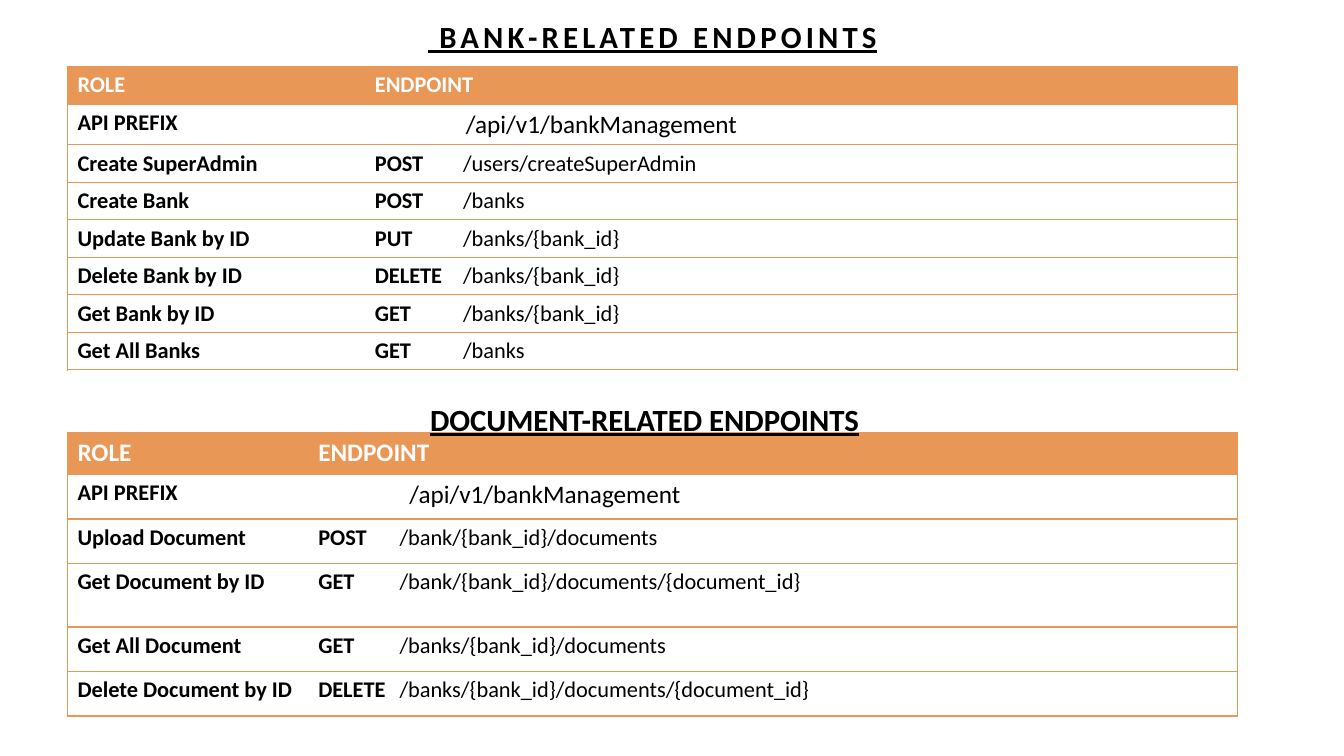
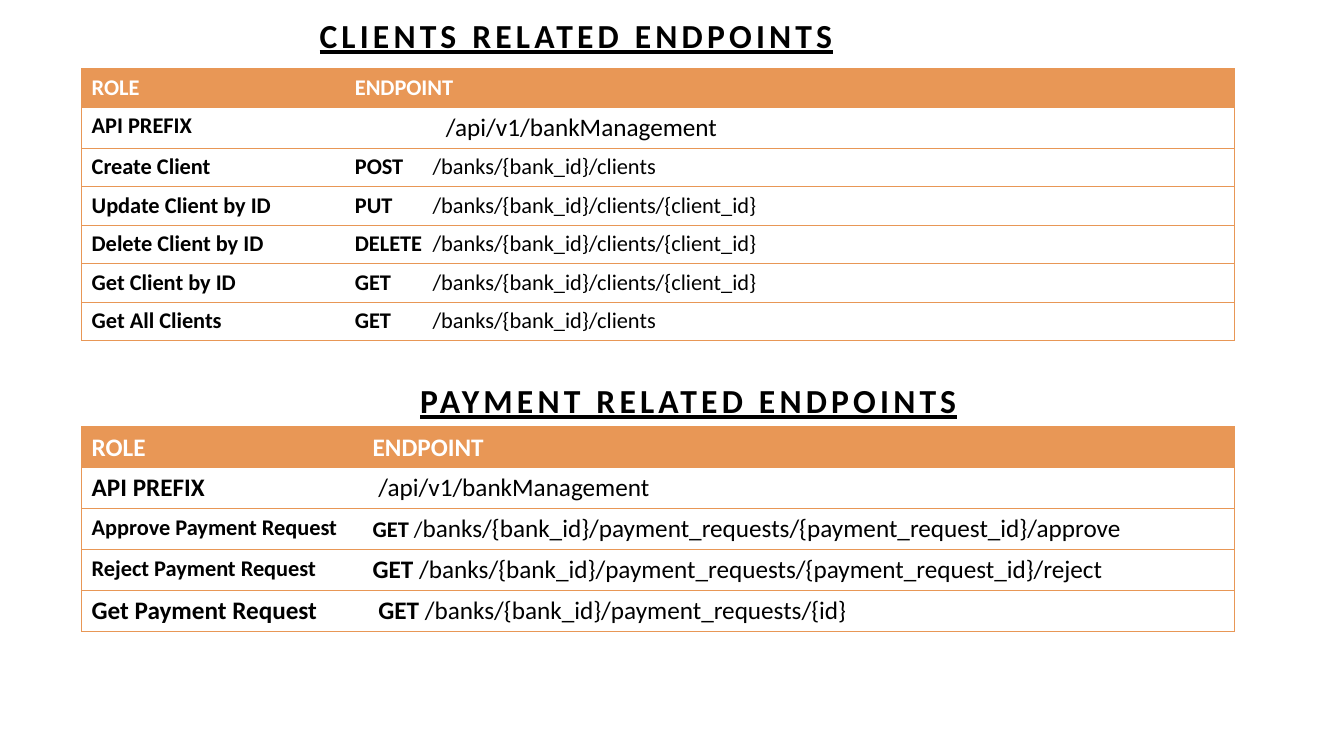
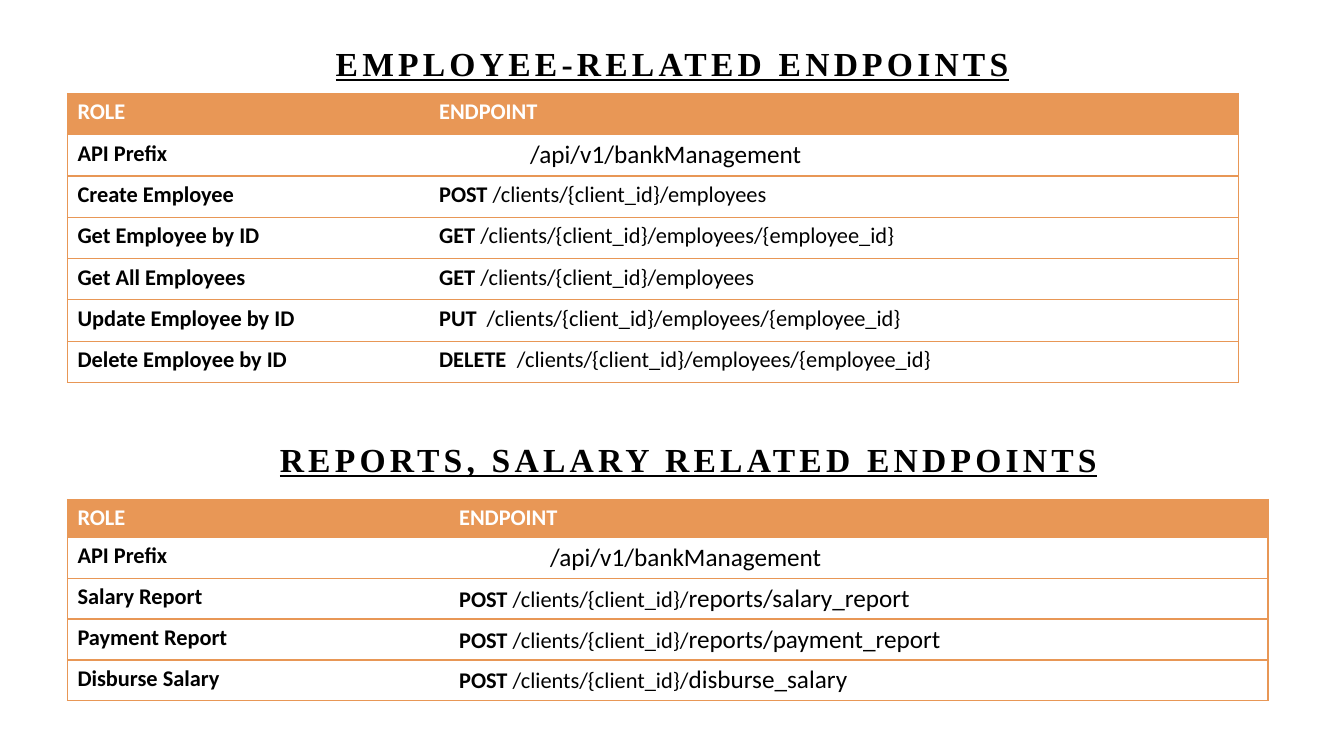
from dataclasses import dataclass, field

from lxml import etree
from pptx import Presentation
from pptx.dml.color import RGBColor
from pptx.enum import text as t
from pptx.oxml.ns import qn
from pptx.util import Pt


@dataclass(frozen=True)
class Theme:
    accent: str = "E89756"
    ink: str = "000000"
    paper: str = "FFFFFF"
    sans: str = "Calibri"
    serif: str = "Times New Roman"
    body: int = 16
    large: int = 18
    heading_small: int = 22
    heading: int = 24
    line: float = 1
    plain_table: str = "{2D5ABB26-0587-4C30-8999-92F81FD0307C}"


THEME = Theme()
PREFIX_TAB = 65


@dataclass
class Endpoint:
    role: str
    method: str
    route: str
    tail: str = ""            # end of the route, in the large size
    tab: float = 0            # where the route starts; 0 means one space
    role_size: int = THEME.body
    method_size: int = THEME.body
    route_size: int = THEME.body


@dataclass
class Heading:
    text: str
    box: tuple
    size: int = THEME.heading
    font: str = THEME.sans
    spacing: float = 3


@dataclass
class EndpointTable:
    origin: tuple
    columns: tuple
    row_height: float
    endpoints: list
    header_size: int = THEME.body
    heights: dict = field(default_factory=dict)   # rows unlike the others


def prefix(role="API PREFIX", tab=PREFIX_TAB, role_size=THEME.body):
    return Endpoint(role, "", "/api/v1/bankManagement", tab=tab,
                    role_size=role_size, route_size=THEME.large)


def tabbed(tab, *rows):
    return [Endpoint(*row, tab=tab) for row in rows]


def add_run(paragraph, words, size, color=THEME.ink, font=THEME.sans, **style):
    run = paragraph.add_run()
    run.text = words
    for name, value in {"name": font, "size": Pt(size), **style}.items():
        setattr(run.font, name, value)
    run.font.color.rgb = RGBColor.from_string(color)
    return run


def place_heading(shape, heading):
    left, top, width, height = heading.box
    for name, value in dict(left=left, top=top, width=width, height=height).items():
        setattr(shape, name, Pt(value))
    frame = shape.text_frame
    for name, value in {"word_wrap": True, "auto_size": t.MSO_AUTO_SIZE.NONE,
                        "vertical_anchor": t.MSO_ANCHOR.MIDDLE}.items():
        setattr(frame, name, value)
    paragraph = frame.paragraphs[0]
    paragraph.alignment = t.PP_ALIGN.CENTER
    paragraph.line_spacing = 0.9
    run = add_run(paragraph, heading.text, heading.size, font=heading.font,
                  bold=True, underline=True)
    if heading.spacing:
        run.font._element.set("spc", str(int(heading.spacing * 100)))


def set_tab(paragraph, position):
    stops = etree.SubElement(paragraph._p.get_or_add_pPr(), qn("a:tabLst"))
    etree.SubElement(stops, qn("a:tab"), pos=str(int(Pt(position))), algn="l")


def paint_cell(cell, fill, sides):
    """Draw the given sides (L, R, T, B order) and fill the cell."""
    properties = cell._tc.get_or_add_tcPr()
    for side in sides:
        line = etree.SubElement(properties, qn(f"a:ln{side}"), w=str(int(Pt(THEME.line))))
        solid = etree.SubElement(line, qn("a:solidFill"))
        etree.SubElement(solid, qn("a:srgbClr"), val=THEME.accent)
    cell.fill.solid()
    cell.fill.fore_color.rgb = RGBColor.from_string(fill)


def write_endpoint(role_cell, route_cell, endpoint):
    add_run(role_cell.text_frame.paragraphs[0], endpoint.role,
            endpoint.role_size, bold=True)
    paragraph = route_cell.text_frame.paragraphs[0]
    if endpoint.tab:
        set_tab(paragraph, endpoint.tab)
    if endpoint.method:
        add_run(paragraph, endpoint.method, endpoint.method_size, bold=True)
    gap = "\t" if endpoint.tab else " "
    add_run(paragraph, gap + endpoint.route, endpoint.route_size, bold=False)
    if endpoint.tail:
        add_run(paragraph, endpoint.tail, THEME.large, bold=False)


def place_table(slide, spec_table):
    count = len(spec_table.endpoints) + 1
    heights = [spec_table.heights.get(i, spec_table.row_height) for i in range(count)]
    frame = slide.shapes.add_table(count, 2, *map(Pt, spec_table.origin),
                                   Pt(sum(spec_table.columns)), Pt(sum(heights)))
    table = frame.table
    table._tbl.tblPr.find(qn("a:tableStyleId")).text = THEME.plain_table
    for column, width in zip(table.columns, spec_table.columns):
        column.width = Pt(width)
    for row, height in zip(table.rows, heights):
        row.height = Pt(height)

    # Header row
    for column, label in enumerate(("ROLE", "ENDPOINT")):
        add_run(table.cell(0, column).text_frame.paragraphs[0], label,
                spec_table.header_size, THEME.paper, bold=True)
    # Endpoint rows
    for row, endpoint in enumerate(spec_table.endpoints, 1):
        write_endpoint(table.cell(row, 0), table.cell(row, 1), endpoint)
    # Outer frame and row rules
    for row in range(count):
        for column, outer in enumerate("LR"):
            paint_cell(table.cell(row, column),
                       THEME.paper if row else THEME.accent, outer + "TB")


def build_slide(deck, sections):
    """Stack tables with their headings; the first heading is the slide title."""
    slide = deck.slides.add_slide(deck.slide_layouts[5])
    for number, (heading, table) in enumerate(sections):
        place_table(slide, table)
        shape = (slide.shapes.add_textbox(*map(Pt, heading.box)) if number
                 else slide.shapes.title)
        place_heading(shape, heading)


BANKS = EndpointTable((48.2, 47.5), (212.4, 623.5), 26.5, [prefix(), *tabbed(
    63,
    ("Create SuperAdmin", "POST", "/users/createSuperAdmin"),
    ("Create Bank", "POST", "/banks"),
    ("Update Bank by ID", "PUT", "/banks/{bank_id}"),
    ("Delete Bank by ID", "DELETE", "/banks/{bank_id}"),
    ("Get Bank by ID", "GET", "/banks/{bank_id}"),
    ("Get All Banks", "GET", "/banks"),
)])

DOCUMENTS = EndpointTable((48.2, 308.9), (172, 663.9), 31.8, [prefix(), *tabbed(
    58,
    ("Upload Document", "POST", "/bank/{bank_id}/documents"),
    ("Get Document by ID", "GET", "/bank/{bank_id}/documents/{document_id}"),
    ("Get All Document", "GET", "/banks/{bank_id}/documents"),
    ("Delete Document by ID", "DELETE", "/banks/{bank_id}/documents/{document_id}"),
)], header_size=THEME.large, heights={0: 30, 3: 45.4})

CLIENTS = EndpointTable((58.3, 49), (188, 635.3), 27.5, [prefix(), *tabbed(
    55.5,
    ("Create Client", "POST", "/banks/{bank_id}/clients"),
    ("Update Client by ID", "PUT", "/banks/{bank_id}/clients/{client_id}"),
    ("Delete Client by ID", "DELETE", "/banks/{bank_id}/clients/{client_id}"),
    ("Get Client by ID", "GET", "/banks/{bank_id}/clients/{client_id}"),
    ("Get All Clients", "GET", "/banks/{bank_id}/clients"),
)], heights={1: 29.5})

PAYMENTS = EndpointTable((58.3, 305), (200.7, 622.7), 29, [
    prefix(tab=0, role_size=THEME.large),
    Endpoint("Approve Payment Request", "GET", "/",
             "banks/{bank_id}/payment_requests/{payment_request_id}/approve"),
    Endpoint("Reject Payment Request", "GET",
             "/banks/{bank_id}/payment_requests/{payment_request_id}/reject",
             method_size=THEME.large, route_size=THEME.large),
    Endpoint("Get Payment Request", " GET", "/banks/{bank_id}/payment_requests/{id}",
             role_size=THEME.large, method_size=THEME.large, route_size=THEME.large),
], header_size=THEME.large)

EMPLOYEES = EndpointTable((48.2, 66.8), (258.3, 578.2), 29.5, [
    prefix("API Prefix"),
    Endpoint("Create Employee", "POST", "/clients/{client_id}/employees"),
    Endpoint("Get Employee by ID", "GET", "/clients/{client_id}/employees/{employee_id}"),
    Endpoint("Get All Employees", "GET", "/clients/{client_id}/employees"),
    Endpoint("Update Employee by ID", "PUT",
             "/clients/{client_id}/employees/{employee_id}", tab=34),
    Endpoint("Delete Employee by ID", "DELETE",
             "/clients/{client_id}/employees/{employee_id}", tab=55.5),
])

REPORTS = EndpointTable((48.2, 356.8), (272.6, 585), 29, [
    prefix("API Prefix"),
    *(Endpoint(role, "POST", "/clients/{client_id}/", tail) for role, tail in (
        ("Salary Report", "reports/salary_report"),
        ("Payment Report", "reports/payment_report"),
        ("Disburse Salary", "disburse_salary"),
    )),
], heights={0: 27})

SLIDES = [
    [(Heading(" BANK-RELATED ENDPOINTS", (48.2, 13, 836, 28.8),
              THEME.heading_small), BANKS),
     (Heading("DOCUMENT-RELATED ENDPOINTS", (48.2, 285, 824.4, 32),
              THEME.heading_small, spacing=0), DOCUMENTS)],
    [(Heading("CLIENTS RELATED ENDPOINTS", (65.5, 13.7, 692, 26.6)), CLIENTS),
     (Heading("PAYMENT RELATED ENDPOINTS", (77.8, 270, 828, 35.3)), PAYMENTS)],
    [(Heading("EMPLOYEE-RELATED ENDPOINTS", (66.2, 28.8, 828, 36),
              font=THEME.serif), EMPLOYEES),
     (Heading("REPORTS, SALARY RELATED ENDPOINTS", (77.8, 314.6, 828, 30.2),
              font=THEME.serif), REPORTS)],
]


def main():
    deck = Presentation()
    deck.slide_width, deck.slide_height = Pt(960), Pt(540)
    for sections in SLIDES:
        build_slide(deck, sections)
    deck.save("out.pptx")


if __name__ == "__main__":
    main()
